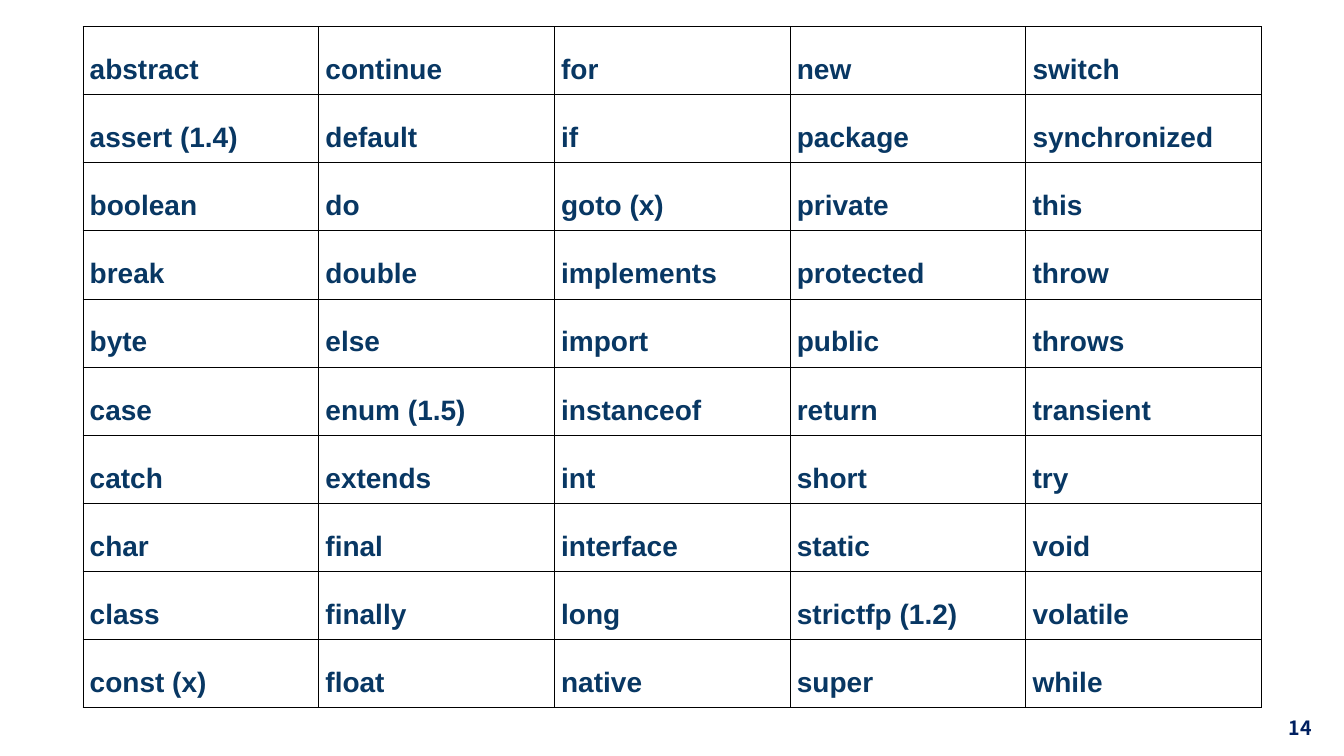
from pptx import Presentation
from pptx.dml.color import RGBColor
from pptx.enum.text import MSO_ANCHOR, PP_ALIGN
from pptx.oxml import parse_xml
from pptx.oxml.ns import nsdecls
from pptx.util import Inches, Pt

MIDDLE = MSO_ANCHOR.MIDDLE
JUSTIFY = PP_ALIGN.JUSTIFY
RIGHT = PP_ALIGN.RIGHT

COLORS = {"keyword": "083763", "number": "002060", "border": "000000"}
BORDER_WIDTH = Pt(0.28)
BORDER_SIDES = ("lnL", "lnR", "lnT", "lnB")

KEYWORD_COLUMNS = [
    ["abstract", "assert (1.4)", "boolean", "break", "byte",
     "case", "catch", "char", "class", "const (x)"],
    ["continue", "default", "do", "double", "else",
     "enum (1.5)", "extends", "final", "finally", "float"],
    ["for", "if", "goto (x)", "implements", "import",
     "instanceof", "int", "interface", "long", "native"],
    ["new", "package", "private", "protected", "public",
     "return", "short", "static", "strictfp (1.2)", "super"],
    ["switch", "synchronized", "this", "throw", "throws",
     "transient", "try", "void", "volatile", "while"],
]


class KeywordPage:
    def __init__(self, deck):
        self.page = deck.slides.add_slide(deck.slide_layouts[6])

    def style(self, para, font, size, color, align):
        para.alignment = align
        para.font.name = font
        para.font.size = Pt(size)
        para.font.bold = True
        para.font.color.rgb = RGBColor.from_string(COLORS[color])

    def text(self, words, left, top, width, height):
        box = self.page.shapes.add_textbox(
            Inches(left), Inches(top), Inches(width), Inches(height))
        frame = box.text_frame
        frame.word_wrap = True
        frame.vertical_anchor = MIDDLE
        frame.text = words
        self.style(frame.paragraphs[0], "Noto Sans CJK KR", 14, "number", RIGHT)

    def borders(self, cell):
        properties = cell._tc.get_or_add_tcPr()
        for side in BORDER_SIDES:
            properties.append(parse_xml(
                f'<a:{side} {nsdecls("a")} w="{BORDER_WIDTH}"><a:solidFill>'
                f'<a:srgbClr val="{COLORS["border"]}"/></a:solidFill></a:{side}>'))

    def cell(self, cell, words):
        cell.text = words
        cell.vertical_anchor = MIDDLE
        cell.margin_left = cell.margin_right = Inches(0.07)
        cell.margin_top = cell.margin_bottom = Inches(0.02)
        para = cell.text_frame.paragraphs[0]
        para.line_spacing = 1.6
        self.style(para, "Arial", 20, "keyword", JUSTIFY)
        self.borders(cell)
        cell.fill.background()

    def table(self, columns, left, top, width, height):
        table = self.page.shapes.add_table(
            len(columns[0]), len(columns), Inches(left), Inches(top),
            Inches(width), Inches(height)).table
        table.first_row = False
        table.horz_banding = False
        for column, keywords in enumerate(columns):
            for row, keyword in enumerate(keywords):
                self.cell(table.cell(row, column), keyword)


deck = Presentation()
deck.slide_width = Inches(13.33)
deck.slide_height = Inches(7.5)

page = KeywordPage(deck)
page.text("14", 12.42, 7.02, 0.69, 0.4)
page.table(KEYWORD_COLUMNS, 0.82, 0.26, 11.69, 6.76)

deck.save("out.pptx")
